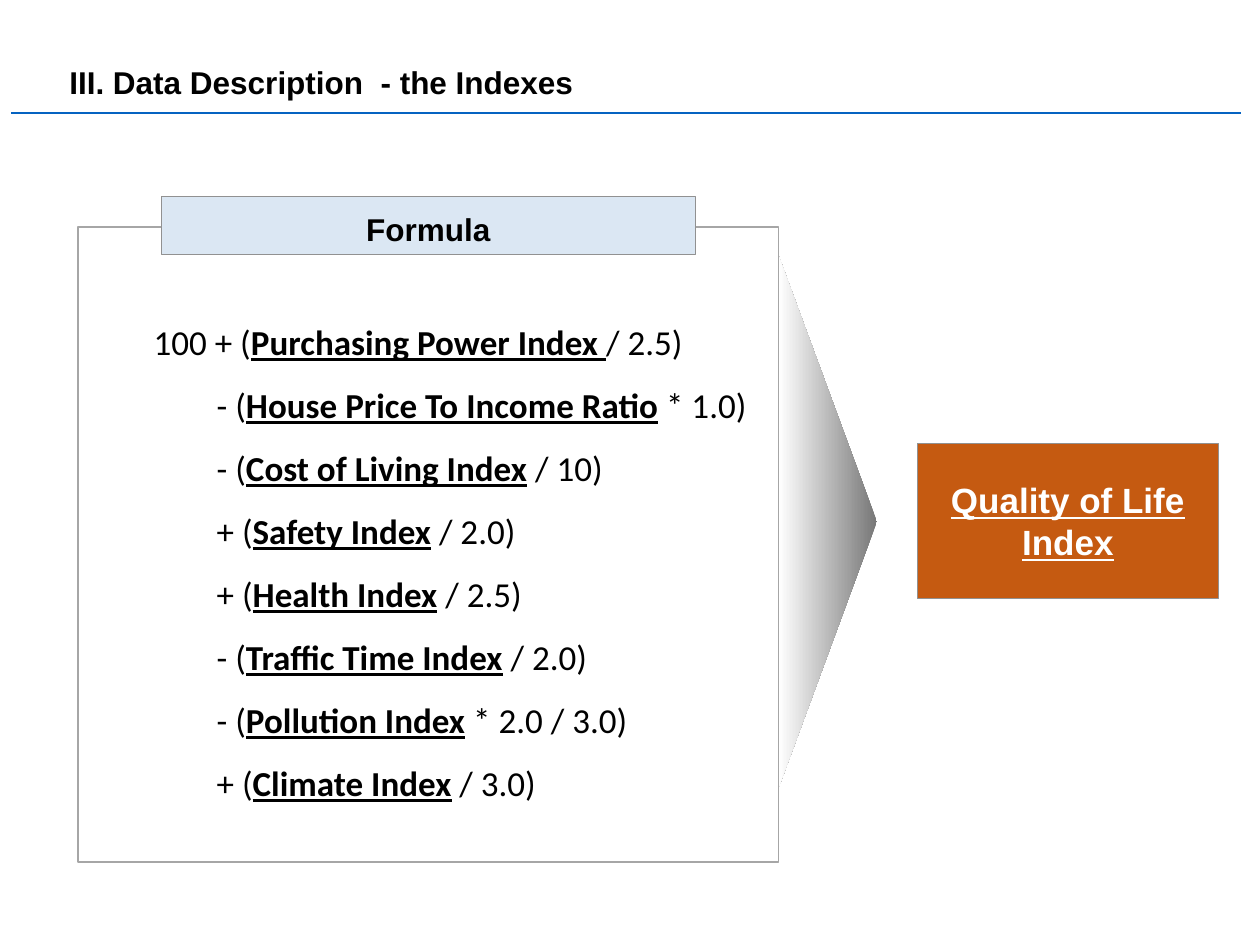
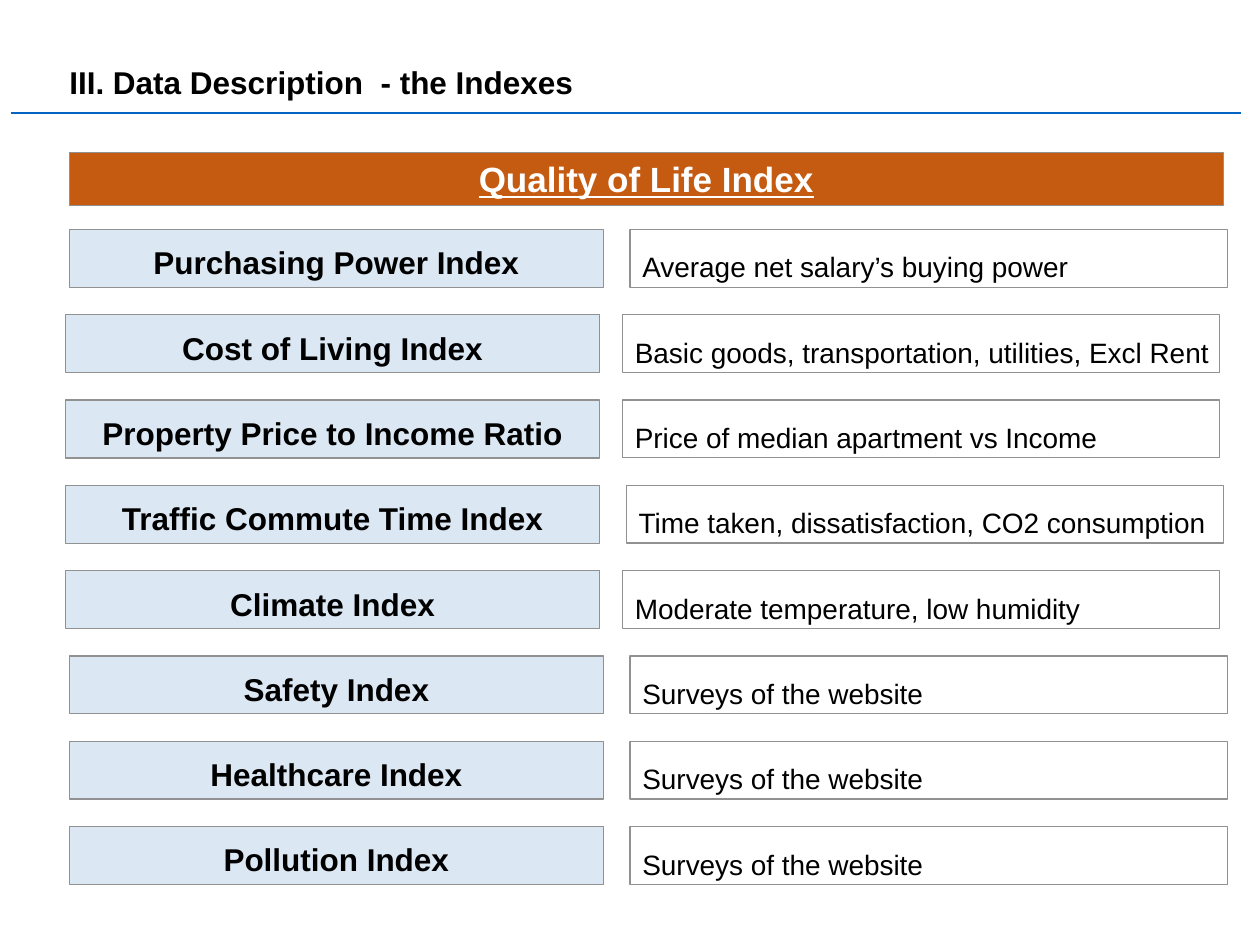
from dataclasses import dataclass

from lxml.etree import SubElement
from pptx import Presentation
from pptx.dml.color import RGBColor
from pptx.enum.shapes import MSO_CONNECTOR, MSO_SHAPE
from pptx.enum.text import MSO_ANCHOR, MSO_AUTO_SIZE, PP_ALIGN
from pptx.oxml.ns import qn
from pptx.util import Inches, Pt


@dataclass(frozen=True)
class Theme:
    heading_font: str = "Arial"
    formula_font: str = "Calibri"
    black: RGBColor = RGBColor(0x00, 0x00, 0x00)
    white: RGBColor = RGBColor(0xFF, 0xFF, 0xFF)
    rule_blue: RGBColor = RGBColor(0x05, 0x63, 0xC1)
    label_blue: RGBColor = RGBColor(0xDB, 0xE7, 0xF3)
    result_orange: RGBColor = RGBColor(0xC5, 0x5A, 0x11)
    border: RGBColor = RGBColor(0x91, 0x91, 0x91)
    panel_border: RGBColor = RGBColor(0xA6, 0xA6, 0xA6)
    arrow_dark: RGBColor = RGBColor(0x77, 0x77, 0x77)
    title_size: Pt = Pt(18)
    label_size: Pt = Pt(18)
    emphasis_size: Pt = Pt(20)
    description_size: Pt = Pt(16)


THEME = Theme()
TITLE = "III. Data Description  - the Indexes"
RESULT = "Quality of Life Index"

# Sign or start value, index, scaling
FORMULA_TERMS = [
    ("100 + (", "Purchasing Power Index ", "/ 2.5)"),
    ("- (", "House Price To Income Ratio", " * 1.0)"),
    ("- (", "Cost of Living Index", " / 10)"),
    ("+ (", "Safety Index", " / 2.0)"),
    ("+ (", "Health Index", " / 2.5)"),
    ("- (", "Traffic Time Index", " / 2.0)"),
    ("- (", "Pollution Index", " * 2.0 / 3.0)"),
    ("+ (", "Climate Index", " / 3.0)"),
]

# Index, its left edge, what it measures, left edge of that
INDEX_ROWS = [
    ("Purchasing Power Index", 0.55, "Average net salary’s buying power", 5),
    ("Cost of Living Index", 0.52, "Basic goods, transportation, utilities, Excl Rent", 4.94),
    ("Property Price to Income Ratio", 0.52, "Price of median apartment vs Income", 4.94),
    ("Traffic Commute Time Index", 0.52, "Time taken, dissatisfaction, CO2 consumption", 4.97),
    ("Climate Index", 0.52, "Moderate temperature, low humidity", 4.94),
    ("Safety Index", 0.55, "Surveys of the website", 5),
    ("Healthcare Index", 0.55, "Surveys of the website", 5),
    ("Pollution Index", 0.55, "Surveys of the website", 5),
]
FIRST_ROW_TOP, LAST_ROW_TOP = 1.82, 6.56
ROW_HEIGHT = 0.46


def set_insets(frame, left, top, right, bottom):
    frame.margin_left, frame.margin_top = Inches(left), Inches(top)
    frame.margin_right, frame.margin_bottom = Inches(right), Inches(bottom)


def style_paragraph(paragraph, font_name, size, color, bold=None,
                    align=PP_ALIGN.LEFT, spacing=1.0):
    paragraph.alignment = align
    paragraph.line_spacing = spacing
    font = paragraph.font
    font.name, font.size, font.bold = font_name, size, bold
    font.color.rgb = color


def add_box(slide, left, top, width, height, fill=None, border=THEME.border,
            border_width=0.75, preset=MSO_SHAPE.PENTAGON):
    """Add a bordered box; a pentagon gets a flat right side."""
    box = slide.shapes.add_shape(preset, Inches(left), Inches(top),
                                 Inches(width), Inches(height))
    box.shadow.inherit = False
    if preset == MSO_SHAPE.PENTAGON:
        box.adjustments[0] = 0
    if fill is None:
        box.fill.background()
    else:
        box.fill.solid()
        box.fill.fore_color.rgb = fill
    box.line.color.rgb = border
    box.line.width = Pt(border_width)
    box.text_frame.word_wrap = True
    box.text_frame.vertical_anchor = MSO_ANCHOR.MIDDLE
    return box


def add_titled_slide(prs):
    slide = prs.slides.add_slide(prs.slide_layouts[5])
    title = slide.shapes.title
    title.left, title.top = Inches(0.55), Inches(0.23)
    title.width, title.height = Inches(9.19), Inches(0.57)
    frame = title.text_frame
    frame.text = TITLE
    frame.auto_size = MSO_AUTO_SIZE.NONE
    frame.vertical_anchor = MSO_ANCHOR.BOTTOM
    set_insets(frame, 0, 0, 0, 0)
    style_paragraph(frame.paragraphs[0], THEME.heading_font, THEME.title_size,
                    THEME.black, bold=True, spacing=2.0)

    rule = slide.shapes.add_connector(MSO_CONNECTOR.STRAIGHT, Inches(0.09),
                                      Inches(0.9), Inches(9.85), Inches(0.9))
    rule.line.color.rgb = THEME.rule_blue
    rule.line.width = Pt(1.25)
    SubElement(rule._element.spPr, qn("a:effectLst"))
    return slide


def add_label(slide, text, left, top):
    label = add_box(slide, left, top, 4.24, ROW_HEIGHT, THEME.label_blue)
    frame = label.text_frame
    frame.text = text
    frame.word_wrap = False
    frame.vertical_anchor = MSO_ANCHOR.BOTTOM
    style_paragraph(frame.paragraphs[0], THEME.heading_font, THEME.label_size,
                    THEME.black, bold=True, align=PP_ALIGN.CENTER, spacing=Pt(14))


def add_description(slide, text, left, top):
    description = add_box(slide, left, top, 4.74, ROW_HEIGHT,
                          preset=MSO_SHAPE.RECTANGLE)
    frame = description.text_frame
    frame.text = text
    set_insets(frame, 0.1, 0, 0, 0)
    style_paragraph(frame.paragraphs[0], THEME.heading_font,
                    THEME.description_size, THEME.black, spacing=1.5)


def add_result(slide, left, top, width, height):
    result = add_box(slide, left, top, width, height, THEME.result_orange)
    result.text_frame.text = RESULT
    paragraph = result.text_frame.paragraphs[0]
    style_paragraph(paragraph, THEME.heading_font, THEME.emphasis_size,
                    THEME.white, bold=True, align=PP_ALIGN.CENTER)
    paragraph.font.underline = True


def add_formula_panel(slide):
    panel = add_box(slide, 0.62, 1.8, 5.56, 5.04, THEME.white,
                    THEME.panel_border, border_width=1)
    frame = panel.text_frame
    set_insets(frame, 0.6, 0.17, 0.1, 0.05)
    for i, (sign, index, scaling) in enumerate(FORMULA_TERMS):
        term = frame.paragraphs[0] if i == 0 else frame.add_paragraph()
        style_paragraph(term, THEME.formula_font, THEME.emphasis_size,
                        THEME.black, spacing=1.5)
        if i > 0:
            term._p.get_or_add_pPr().set("marL", str(Inches(0.5)))
        term.add_run().text = sign
        index_run = term.add_run()
        index_run.text = index
        index_run.font.bold = index_run.font.underline = True
        term.add_run().text = scaling


def add_arrow_wedge(slide):
    """Add the triangle that points right, darkest at its tip."""
    wedge = slide.shapes.add_shape(MSO_SHAPE.ISOSCELES_TRIANGLE, Inches(4.46),
                                   Inches(3.75), Inches(4.22), Inches(0.78))
    wedge.shadow.inherit = False
    wedge.rotation = 90
    wedge.line.fill.background()
    wedge.fill.gradient()
    wedge.fill.gradient_angle = 270
    tip, base = wedge.fill.gradient_stops
    tip.color.rgb, base.color.rgb = THEME.arrow_dark, THEME.white


def build_formula_slide(prs):
    slide = add_titled_slide(prs)
    add_formula_panel(slide)
    add_label(slide, "Formula", 1.28, 1.56)
    add_arrow_wedge(slide)
    add_result(slide, 7.28, 3.52, 2.39, 1.23)


def build_index_slide(prs):
    slide = add_titled_slide(prs)
    add_result(slide, 0.55, 1.21, 9.16, 0.42)
    pitch = (LAST_ROW_TOP - FIRST_ROW_TOP) / (len(INDEX_ROWS) - 1)
    for i, (index, index_left, meaning, meaning_left) in enumerate(INDEX_ROWS):
        top = FIRST_ROW_TOP + i * pitch
        add_label(slide, index, index_left, top)
        add_description(slide, meaning, meaning_left, top)


def main():
    prs = Presentation()
    prs.slide_width, prs.slide_height = Inches(10), Inches(7.5)
    build_formula_slide(prs)
    build_index_slide(prs)
    prs.save("out.pptx")


if __name__ == "__main__":
    main()
